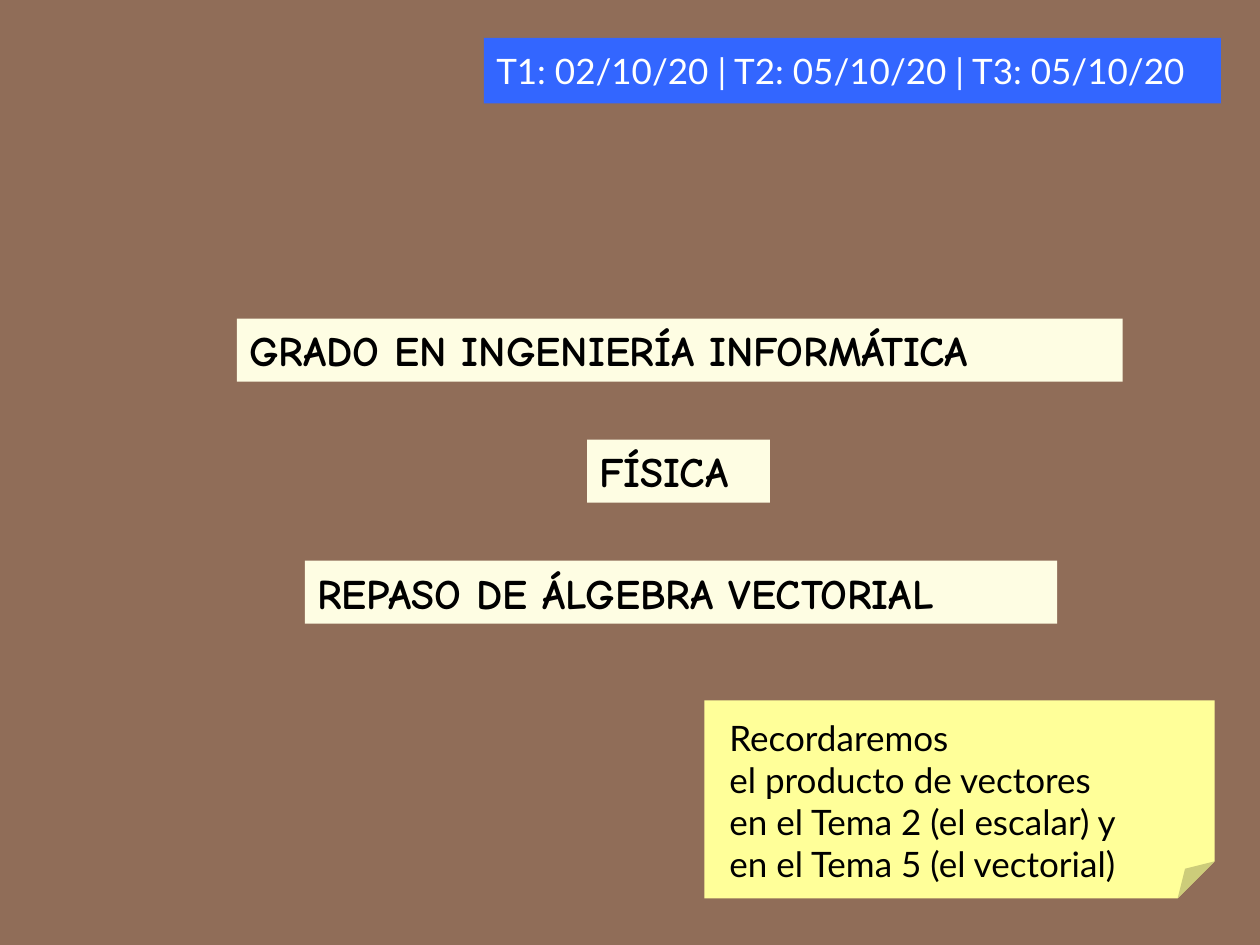
"""Build the cover slide for the vector algebra review of a physics course."""
from lxml.etree import SubElement
from pptx import Presentation
from pptx.dml.color import RGBColor
from pptx.enum.shapes import MSO_SHAPE
from pptx.enum.text import MSO_ANCHOR, MSO_AUTO_SIZE, PP_ALIGN
from pptx.oxml.ns import qn
from pptx.util import Inches, Pt

BROWN = RGBColor(0x90, 0x6D, 0x58)
CREAM = RGBColor(0xFE, 0xFD, 0xE3)
YELLOW = RGBColor(0xFF, 0xFF, 0x99)
BLUE = RGBColor(0x33, 0x66, 0xFF)
BLACK = RGBColor(0, 0, 0)
WHITE = RGBColor(0xFF, 0xFF, 0xFF)


def place(box, left, top, width, height):
    box.left, box.top = Inches(left), Inches(top)
    box.width, box.height = Inches(width), Inches(height)


def write(box, text, font_name, size, color, bold=False, anchor=MSO_ANCHOR.MIDDLE):
    frame = box.text_frame
    frame.text = text
    frame.word_wrap = True
    frame.auto_size = MSO_AUTO_SIZE.NONE
    frame.vertical_anchor = anchor
    for paragraph in frame.paragraphs:
        paragraph.alignment = PP_ALIGN.LEFT
        for span in paragraph.runs:
            span.font.name = font_name
            span.font.size = Pt(size)
            span.font.bold = bold
            span.font.color.rgb = color


deck = Presentation()
deck.slide_width, deck.slide_height = Inches(10), Inches(7.5)
page = deck.slides.add_slide(deck.slide_layouts[5])
page.background.fill.solid()
page.background.fill.fore_color.rgb = BROWN

title = page.shapes.title
degree = page.shapes.add_textbox(0, 0, 0, 0)
subject = page.shapes.add_textbox(0, 0, 0, 0)
headings = [
    (degree, "GRADO EN INGENIERÍA INFORMÁTICA", 1.88, 2.53, 7.03),
    (subject, "FÍSICA", 4.66, 3.49, 1.45),
    (title, "REPASO DE ÁLGEBRA VECTORIAL", 2.42, 4.45, 5.97),
]
for box, text, left, top, width in headings:
    place(box, left, top, width, 0.5)
    box.fill.solid()
    box.fill.fore_color.rgb = CREAM
    write(box, text, "Comic Neue", 24, BLACK, bold=True, anchor=MSO_ANCHOR.TOP)

note = page.shapes.add_shape(
    MSO_SHAPE.FOLDED_CORNER, Inches(5.59), Inches(5.56), Inches(4.05), Inches(1.57)
)
fold_values = next(note.element.iter(qn("a:avLst")))
SubElement(fold_values, qn("a:gd"), name="adj", fmla="val 18700")
note.shadow.inherit = False
note.fill.solid()
note.fill.fore_color.rgb = YELLOW
note.line.fill.background()

reminder = page.shapes.add_textbox(0, 0, 0, 0)
place(reminder, 5.69, 5.59, 3.8, 1.53)
reminder_lines = [
    "Recordaremos",
    "el producto de vectores",
    "en el Tema 2 (el escalar) y",
    "en el Tema 5 (el vectorial)",
]
write(reminder, "\n".join(reminder_lines), "Lato", 20, BLACK)

dates = page.shapes.add_textbox(0, 0, 0, 0)
place(dates, 3.84, 0.3, 5.85, 0.52)
dates.fill.solid()
dates.fill.fore_color.rgb = BLUE
write(dates, "T1: 02/10/20 | T2: 05/10/20 | T3: 05/10/20", "Lato", 20, WHITE)

deck.save("out.pptx")
